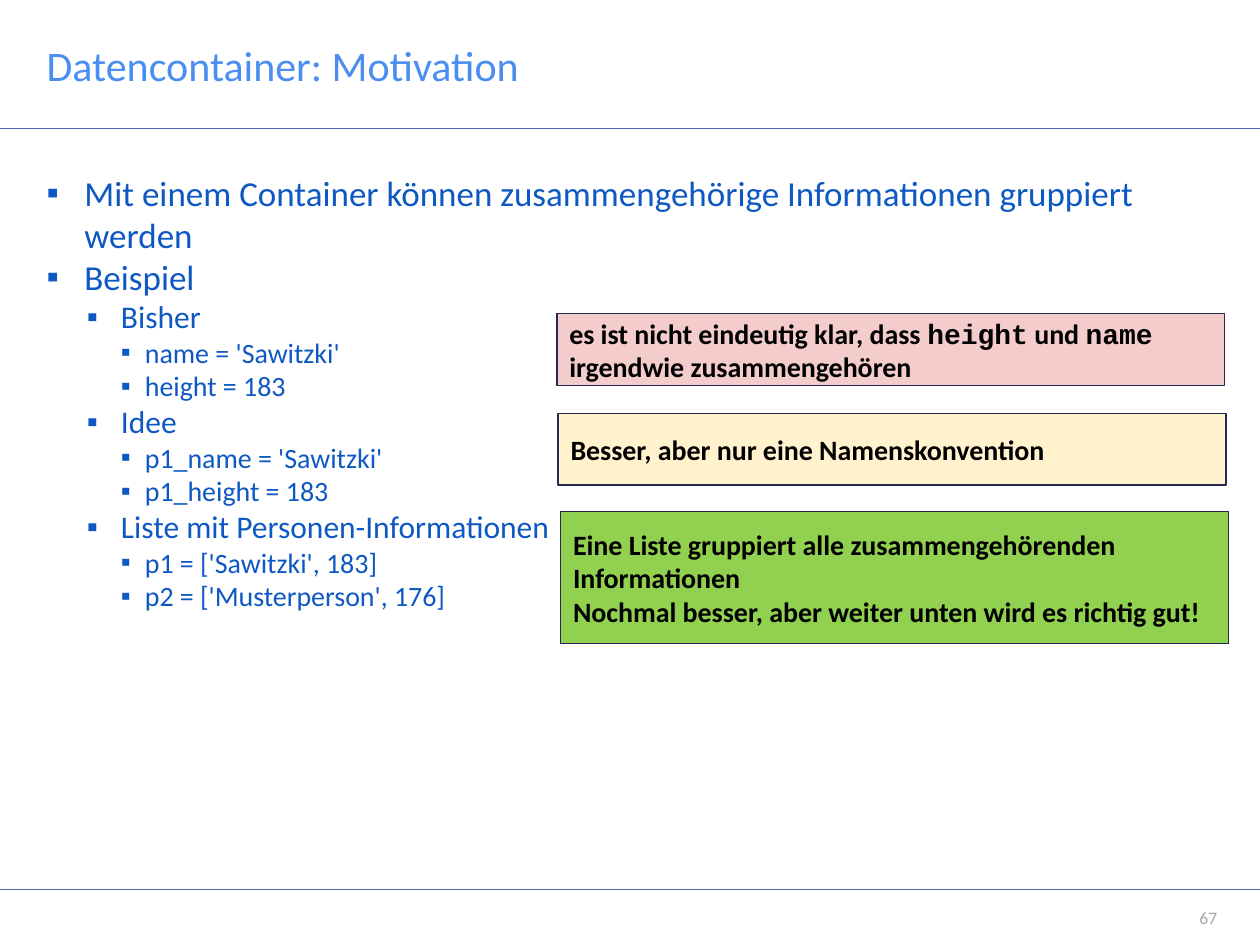
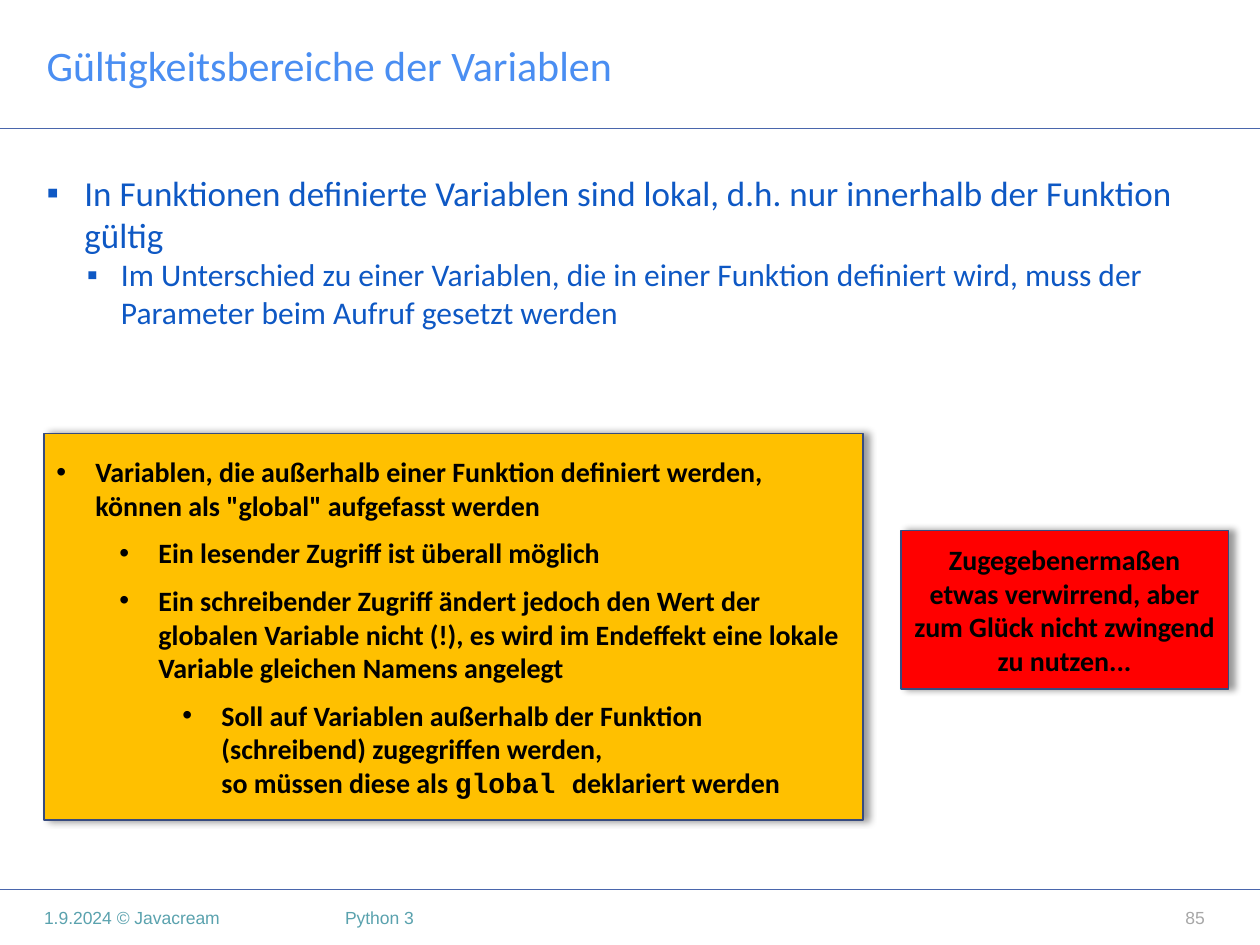
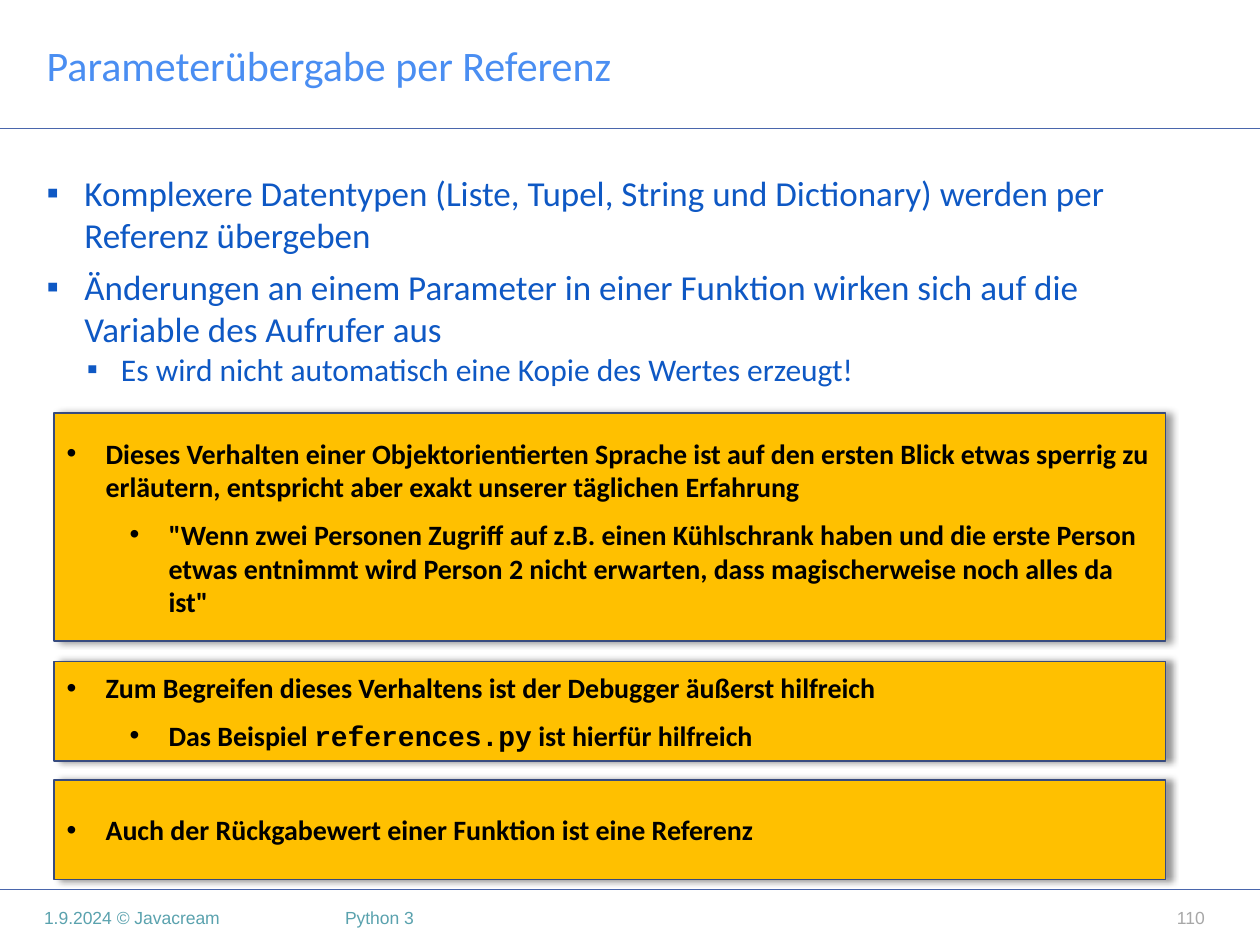
"""Build three course slides on Python data containers and variables."""
from copy import deepcopy
from dataclasses import dataclass
from typing import Any, NamedTuple

from lxml.etree import SubElement as Sub
from pptx import Presentation
from pptx.dml.color import RGBColor as Rgb
from pptx.enum.shapes import MSO_CONNECTOR as Conn, MSO_SHAPE as Kind
from pptx.enum.text import MSO_ANCHOR as Anchor, MSO_AUTO_SIZE as Auto, PP_ALIGN as Align
from pptx.oxml.ns import qn
from pptx.util import Inches, Pt

HUES = {
    "rule": "4A66AC", "title": "4A8EF2", "body": "0E58C4", "foot": "5AA2AE",
    "page": "A7A7A7", "black": "000000", "navy": "242852", "edge": "374B7F",
    "pink": "F4CCCC", "cream": "FFF2CC", "green": "92D050",
    "gold": "FFC000", "red": "FF0000",
}
SANS, MONO, FOOT = "Calibri", "Courier New", "Arial"
RULES = (7.06, 1.02)


class Area(NamedTuple):
    left: float
    top: float
    width: float
    height: float


class Para(NamedTuple):
    text: str
    level: int = 0
    gap: float = 0


@dataclass(frozen=True)
class Style:
    hue: str
    sizes: tuple[int, ...]
    font: str = SANS
    bold: bool = False
    align: Any = Align.LEFT
    mark: str = ""
    lefts: tuple[float, ...] = (0,)
    hangs: tuple[float, ...] = (0,)


@dataclass(frozen=True)
class Box:
    area: Area
    fill: str
    paras: tuple[Para, ...]
    style: Style
    edge: str = "edge"
    weight: float = 1
    pad: float = 0.05
    shade: bool = True


@dataclass(frozen=True)
class Page:
    title: str
    paras: tuple[Para, ...]
    boxes: tuple[Box, ...]
    number: str
    font: str = FOOT
    pad: tuple[float, float] = (0.1, 0.04)
    footer: bool = True


TITLE = Style("title", (24,))
BODY = Style("body", (20, 18, 16), mark="▪",
             lefts=(0.3, 0.59, 0.78), hangs=(0.3, 0.27, 0.19))
NOTE = Style("black", (16,), bold=True)
LIST = Style("black", (16,) * 3, bold=True, mark="•",
             lefts=(0.31, 0.81, 1.31), hangs=(0.31,) * 3)
MID = Style("black", (16,), bold=True, align=Align.CENTER)
FOOTER = Style("foot", (10,), FOOT)

TITLE_AT = Area(0.27, 0, 6.22, 1.02)
BODY_AT = Area(0.27, 1.31, 9.34, 5.57)
DATE_AT = Area(0.35, 7.06, 2.2, 0.44)
NAME_AT = Area(2.64, 7.06, 5.91, 0.44)
PAGE_AT = Area(8.75, 7.06, 0.91, 0.44)


def apply(item: Any, values: dict[str, Any]) -> None:
    """Set every named attribute on the item."""
    for name, value in values.items():
        setattr(item, name, value)


def place(shape: Any, area: Area) -> None:
    """Move and size a shape."""
    apply(shape, {name: Inches(value) for name, value in area._asdict().items()})


def mark(para: Any, style: Style, level: int) -> None:
    """Give a paragraph its indent and bullet."""
    props = para._p.get_or_add_pPr()
    props.set("marL", str(Inches(style.lefts[level])))
    props.set("indent", str(-Inches(style.hangs[level])))
    if style.mark:
        hue = Sub(props, qn("a:buClr"))
        Sub(hue, qn("a:srgbClr"), val=HUES[style.hue])
        Sub(props, qn("a:buFont"), typeface="Arial")
        Sub(props, qn("a:buChar"), char=style.mark)
    else:
        Sub(props, qn("a:buNone"))


def add_run(para: Any, text: str, style: Style, level: int, font: str) -> Any:
    """Add one formatted run."""
    run = para.add_run()
    run.text = text
    apply(run.font, {"name": font, "size": Pt(style.sizes[level]), "bold": style.bold})
    run.font.color.rgb = Rgb.from_string(HUES[style.hue])
    return run


def write(shape: Any, paras: tuple[Para, ...], style: Style,
          pad: tuple[float, float] = (0.1, 0.05), anchor: Any = Anchor.MIDDLE) -> None:
    """Fill a shape with paragraphs; backticks enclose code, newlines break lines."""
    frame = shape.text_frame
    side, end = map(Inches, pad)
    apply(frame, {
        "word_wrap": True, "auto_size": Auto.NONE, "vertical_anchor": anchor,
        "margin_left": side, "margin_right": side,
        "margin_top": end, "margin_bottom": end,
    })
    for i, (text, level, gap) in enumerate(paras):
        para = frame.add_paragraph() if i else frame.paragraphs[0]
        mark(para, style, level)
        apply(para, {"level": level, "alignment": style.align,
                     "space_before": Pt(gap if i else 0)})
        for j, part in enumerate(text.split("`")):
            font = MONO if j % 2 else style.font
            for k, line in enumerate(part.split("\n")):
                if k:
                    para.add_line_break()
                    para._p[-1].append(deepcopy(run._r.rPr))
                if line:
                    run = add_run(para, line, style, level, font)


def add_text(slide: Any, area: Area, text: str, style: Style,
             pad: tuple[float, float]) -> None:
    """Add a one-line text box."""
    shape = slide.shapes.add_textbox(*map(Inches, area))
    write(shape, (Para(text),), style, pad)


def add_rule(slide: Any, top: float) -> None:
    """Draw a line across the slide."""
    line = slide.shapes.add_connector(
        Conn.STRAIGHT, 0, Inches(top), Inches(10), Inches(top))
    line.line.color.rgb = Rgb.from_string(HUES["rule"])
    line.line.width = Pt(1)
    Sub(line._element.spPr, qn("a:effectLst"))


def add_box(slide: Any, box: Box) -> None:
    """Draw a filled note, with a soft shadow if asked."""
    shape = slide.shapes.add_shape(Kind.RECTANGLE, *map(Inches, box.area))
    shape.fill.solid()
    shape.fill.fore_color.rgb = Rgb.from_string(HUES[box.fill])
    shape.line.color.rgb = Rgb.from_string(HUES[box.edge])
    shape.line.width = Pt(box.weight)
    shape.shadow.inherit = False
    if box.shade:
        effects = shape._element.spPr.find(qn("a:effectLst"))
        shade = Sub(effects, qn("a:outerShdw"), blurRad=str(Pt(4)), dist=str(Pt(3)),
                    dir="0", algn="l", rotWithShape="0")
        hue = Sub(shade, qn("a:srgbClr"), val=HUES["black"])
        Sub(hue, qn("a:alpha"), val="40000")
    write(shape, box.paras, box.style, (0.1, box.pad))


def add_page(deck: Any, page: Page) -> None:
    """Build one slide with its frame, list and notes."""
    slide = deck.slides.add_slide(deck.slide_layouts[1])
    for top in RULES:
        add_rule(slide, top)
    title, body = slide.shapes.title, slide.placeholders[1]
    place(title, TITLE_AT)
    write(title, (Para(page.title),), TITLE)
    place(body, BODY_AT)
    write(body, page.paras, BODY, anchor=Anchor.TOP)
    if page.footer:
        add_text(slide, DATE_AT, "1.9.2024 © Javacream", FOOTER, (0, 0))
        add_text(slide, NAME_AT, "Python 3", FOOTER, page.pad)
    style = Style("page", (10,), page.font, align=Align.RIGHT)
    add_text(slide, PAGE_AT, page.number, style, page.pad)
    for box in page.boxes:
        add_box(slide, box)


def plain(left: float, top: float, height: float, fill: str, *lines: str) -> Box:
    """Describe a flat note beside the list."""
    return Box(Area(left, top, 5.3, height), fill, tuple(map(Para, lines)), NOTE,
               "navy", 0.75, 0.1, False)


def gold(area: Area, *items: tuple[str, int]) -> Box:
    """Describe a gold note with bullets."""
    return Box(area, "gold", tuple(Para(text, level, 8) for text, level in items), LIST)


PAGES = (
    Page(
        "Datencontainer: Motivation",
        (
            Para("Mit einem Container können zusammengehörige Informationen gruppiert werden"),
            Para("Beispiel"),
            Para("Bisher", 1),
            Para("name = 'Sawitzki'", 2),
            Para("height = 183", 2),
            Para("Idee", 1),
            Para("p1_name = 'Sawitzki'", 2),
            Para("p1_height = 183", 2),
            Para("Liste mit Personen-Informationen", 1),
            Para("p1 = ['Sawitzki', 183]", 2),
            Para("p2 = ['Musterperson', 176]", 2),
        ),
        (
            plain(4.42, 2.49, 0.57, "pink",
                  "es ist nicht eindeutig klar, dass `height` und `name `irgendwie zusammengehören"),
            plain(4.43, 3.28, 0.57, "cream", "Besser, aber nur eine Namenskonvention"),
            plain(4.45, 4.06, 1.05, "green",
                  "Eine Liste gruppiert alle zusammengehörenden Informationen",
                  "Nochmal besser, aber weiter unten wird es richtig gut!"),
        ),
        "67", SANS, (0, 0), False,
    ),
    Page(
        "Gültigkeitsbereiche der Variablen",
        (
            Para("In Funktionen definierte Variablen sind lokal, d.h. nur innerhalb "
                 "der Funktion gültig"),
            Para("Im Unterschied zu einer Variablen, die in einer Funktion definiert wird, "
                 "muss der Parameter beim Aufruf gesetzt werden", 1),
        ),
        (
            gold(Area(0.35, 3.44, 6.5, 3.07),
                 ("Variablen, die außerhalb einer Funktion definiert werden, "
                  'können als "global" aufgefasst werden', 0),
                 ("Ein lesender Zugriff ist überall möglich", 1),
                 ("Ein schreibender Zugriff ändert jedoch den Wert der globalen Variable "
                  "nicht (!), es wird im Endeffekt eine lokale Variable gleichen Namens "
                  "angelegt", 1),
                 ("Soll auf Variablen außerhalb der Funktion (schreibend) zugegriffen "
                  "werden, \nso müssen diese als `global `deklariert werden", 2)),
            Box(Area(7.15, 4.21, 2.6, 1.26), "red",
                (Para("Zugegebenermaßen etwas verwirrend, aber zum Glück nicht zwingend "
                      "zu nutzen..."),), MID),
        ),
        "85",
    ),
    Page(
        "Parameterübergabe per Referenz",
        (
            Para("Komplexere Datentypen (Liste, Tupel, String und Dictionary) werden per "
                 "Referenz übergeben"),
            Para("Änderungen an einem Parameter in einer Funktion wirken sich auf die "
                 "Variable des Aufrufer aus", 0, 6),
            Para("Es wird nicht automatisch eine Kopie des Wertes erzeugt!", 1),
        ),
        (
            gold(Area(0.43, 3.28, 8.82, 1.81),
                 ("Dieses Verhalten einer Objektorientierten Sprache ist auf den ersten "
                  "Blick etwas sperrig zu erläutern, entspricht aber exakt unserer "
                  "täglichen Erfahrung", 0),
                 ('"Wenn zwei Personen Zugriff auf z.B. einen Kühlschrank haben und die '
                  "erste Person etwas entnimmt wird Person 2 nicht erwarten, dass "
                  'magischerweise noch alles da ist"', 1)),
            gold(Area(0.43, 5.25, 8.82, 0.79),
                 ("Zum Begreifen dieses Verhaltens ist der Debugger äußerst hilfreich", 0),
                 ("Das Beispiel `references.py` ist hierfür hilfreich", 1)),
            gold(Area(0.43, 6.19, 8.82, 0.79),
                 ("Auch der Rückgabewert einer Funktion ist eine Referenz", 0)),
        ),
        "110",
    ),
)


def main() -> None:
    """Build and save the deck."""
    deck = Presentation()
    apply(deck, {"slide_width": Inches(10), "slide_height": Inches(7.5)})
    for page in PAGES:
        add_page(deck, page)
    deck.save("out.pptx")


if __name__ == "__main__":
    main()
